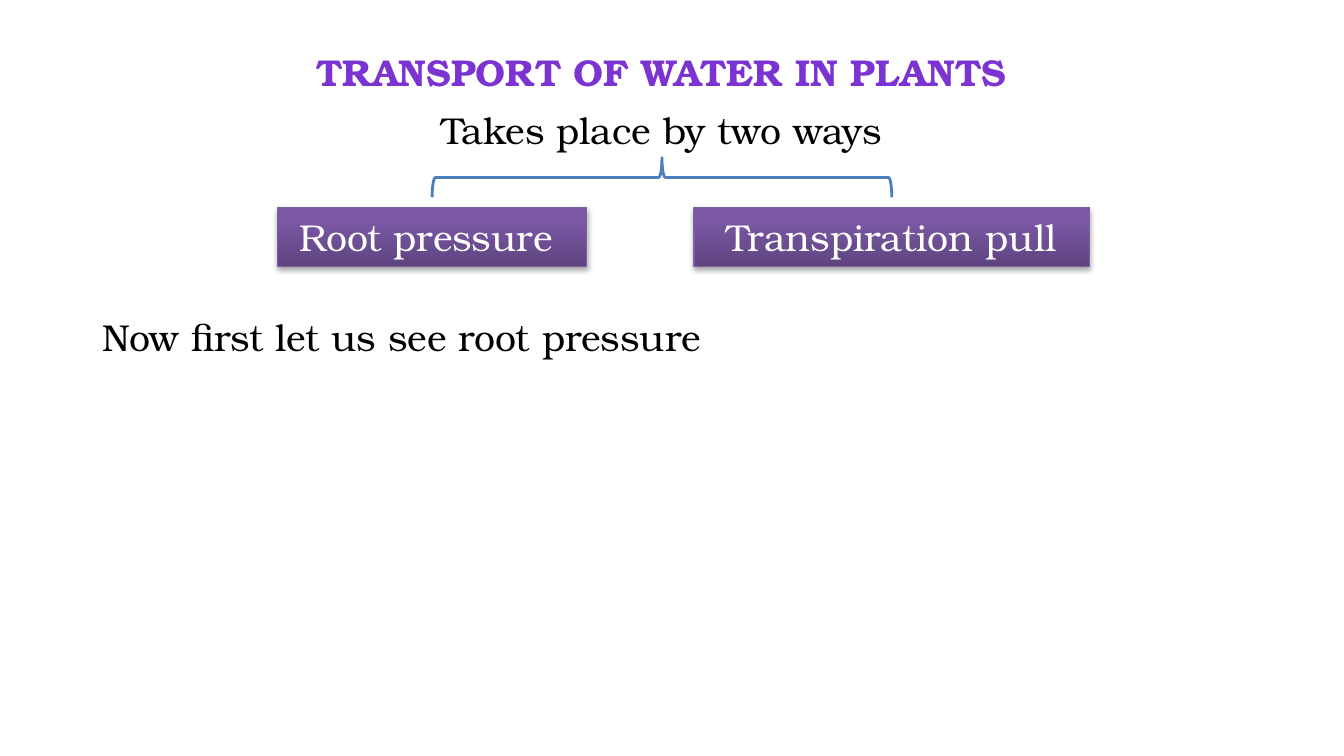
from collections import namedtuple
from dataclasses import dataclass

from lxml import etree
from pptx import Presentation
from pptx.dml.color import RGBColor
from pptx.enum.shapes import MSO_SHAPE
from pptx.enum.text import MSO_ANCHOR, PP_ALIGN
from pptx.oxml.ns import qn
from pptx.util import Inches, Pt

RECTANGLE = MSO_SHAPE.RECTANGLE
LEFT_BRACE = MSO_SHAPE.LEFT_BRACE
CENTER, LEFT = PP_ALIGN.CENTER, PP_ALIGN.LEFT
MIDDLE, TOP = MSO_ANCHOR.MIDDLE, MSO_ANCHOR.TOP
TITLE_ONLY = 5

COLUMNS, ROWS = 100, 56.25
CELL = Inches(0.1)
TEXT_ROWS = 4.38

Box = namedtuple("Box", "column row columns rows")


@dataclass(frozen=True)
class Theme:
    font: str = "TeX Gyre Bonum"
    size: float = 20
    title: str = "7B34D2"
    text: str = "000000"
    label: str = "FFFFFF"
    border: str = "7D60A0"
    brace: str = "4B7EBC"
    shadow: str = "000000"
    gradient: tuple = ((0, "5F4480"), (80, "7B58A6"), (100, "7C57A8"))


THEME = Theme()


def cells(count):
    return round(count * CELL)


def place(shape, box):
    shape.left, shape.top, shape.width, shape.height = map(cells, box)


def write(shape, text, color, alignment=CENTER, bold=False, anchor=TOP):
    frame = shape.text_frame
    frame.word_wrap = True
    frame.vertical_anchor = anchor
    frame.margin_left = frame.margin_right = Inches(0.1)
    frame.margin_top = frame.margin_bottom = Inches(0.05)
    paragraph = frame.paragraphs[0]
    paragraph.alignment = alignment
    run = paragraph.add_run()
    run.text = text
    run.font.name = THEME.font
    run.font.size = Pt(THEME.size)
    run.font.bold = bold
    run.font.color.rgb = RGBColor.from_string(color)


def add_color(parent, color):
    return etree.SubElement(parent, qn("a:srgbClr"), val=color)


def fill_with_gradient(shape):
    gradient = etree.Element(qn("a:gradFill"), rotWithShape="1")
    stops = etree.SubElement(gradient, qn("a:gsLst"))
    for position, color in THEME.gradient:
        add_color(etree.SubElement(stops, qn("a:gs"), pos=str(position * 1000)), color)
    etree.SubElement(gradient, qn("a:lin"), ang="16200000", scaled="0")
    shape.element.spPr.find(qn("a:prstGeom")).addnext(gradient)


def add_shadow(shape):
    shape.shadow.inherit = False
    effects = shape.element.spPr.find(qn("a:effectLst"))
    shadow = etree.SubElement(
        effects, qn("a:outerShdw"), blurRad=str(Pt(3.1)), dist=str(Pt(1.8)),
        dir="5400000", rotWithShape="0")
    etree.SubElement(add_color(shadow, THEME.shadow), qn("a:alpha"), val="35000")


def build_title(slide, box):
    title = slide.shapes.title
    place(title, box)
    write(title, "TRANSPORT OF WATER IN PLANTS", THEME.title, bold=True, anchor=MIDDLE)


def build_sentence(slide, box, text, alignment):
    sentence = slide.shapes.add_textbox(*map(cells, box))
    write(sentence, text, THEME.text, alignment)


def build_way(slide, box, text):
    way = slide.shapes.add_shape(RECTANGLE, *map(cells, box))
    fill_with_gradient(way)
    way.line.color.rgb = RGBColor.from_string(THEME.border)
    way.line.width = Pt(0.75)
    add_shadow(way)
    write(way, text, THEME.label)


def build_brace(slide, box):
    middle_column = box.column + box.columns / 2
    middle_row = box.row + box.rows / 2
    upright = Box(middle_column - box.rows / 2, middle_row - box.columns / 2,
                  box.rows, box.columns)
    brace = slide.shapes.add_shape(LEFT_BRACE, *map(cells, upright))
    brace.rotation = 90
    brace.fill.background()
    brace.line.color.rgb = RGBColor.from_string(THEME.brace)
    brace.line.width = Pt(1.5)
    brace.shadow.inherit = False


def build_ways(slide, box):
    root_columns, pull_columns, brace_rows = 23, 29.4, 2.95
    way_row = box.row + box.rows - TEXT_ROWS
    root = Box(box.column, way_row, root_columns, TEXT_ROWS)
    pull = Box(box.column + box.columns - pull_columns, way_row, pull_columns, TEXT_ROWS)
    build_way(slide, root, "Root pressure ")
    build_way(slide, pull, "Transpiration pull")
    start, end = (way.column + way.columns / 2 for way in (root, pull))
    build_brace(slide, Box(start, box.row, end - start, brace_rows))


def main():
    presentation = Presentation()
    presentation.slide_width = cells(COLUMNS)
    presentation.slide_height = cells(ROWS)
    slide = presentation.slides.add_slide(presentation.slide_layouts[TITLE_ONLY])
    build_title(slide, Box(20.85, 3.1, 56.8, TEXT_ROWS))
    build_sentence(slide, Box(13.83, 7.5, 70.8, TEXT_ROWS),
                   "Takes place by two ways", CENTER)
    build_ways(slide, Box(20.65, 11.73, 60.4, 8.08))
    build_sentence(slide, Box(6.65, 22.9, 49.8, TEXT_ROWS),
                   "Now first let us see root pressure", LEFT)
    presentation.save("out.pptx")


if __name__ == "__main__":
    main()
